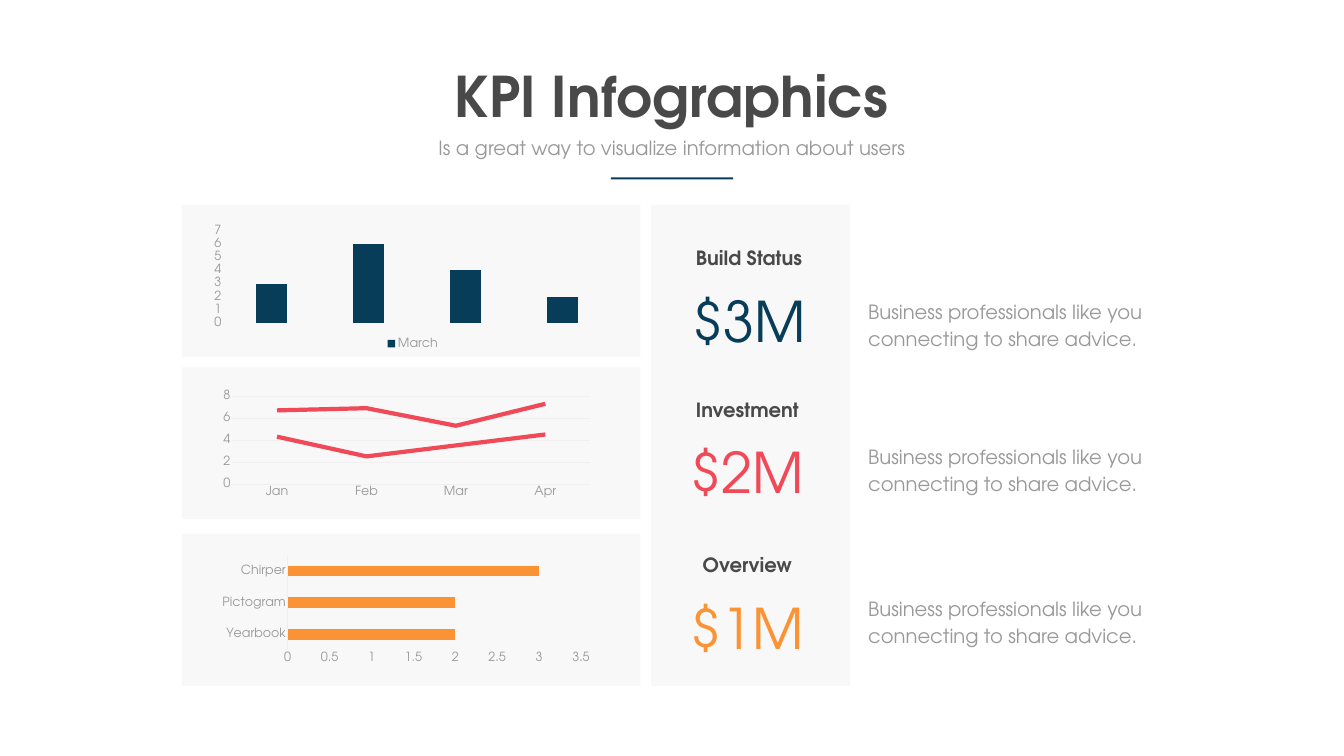
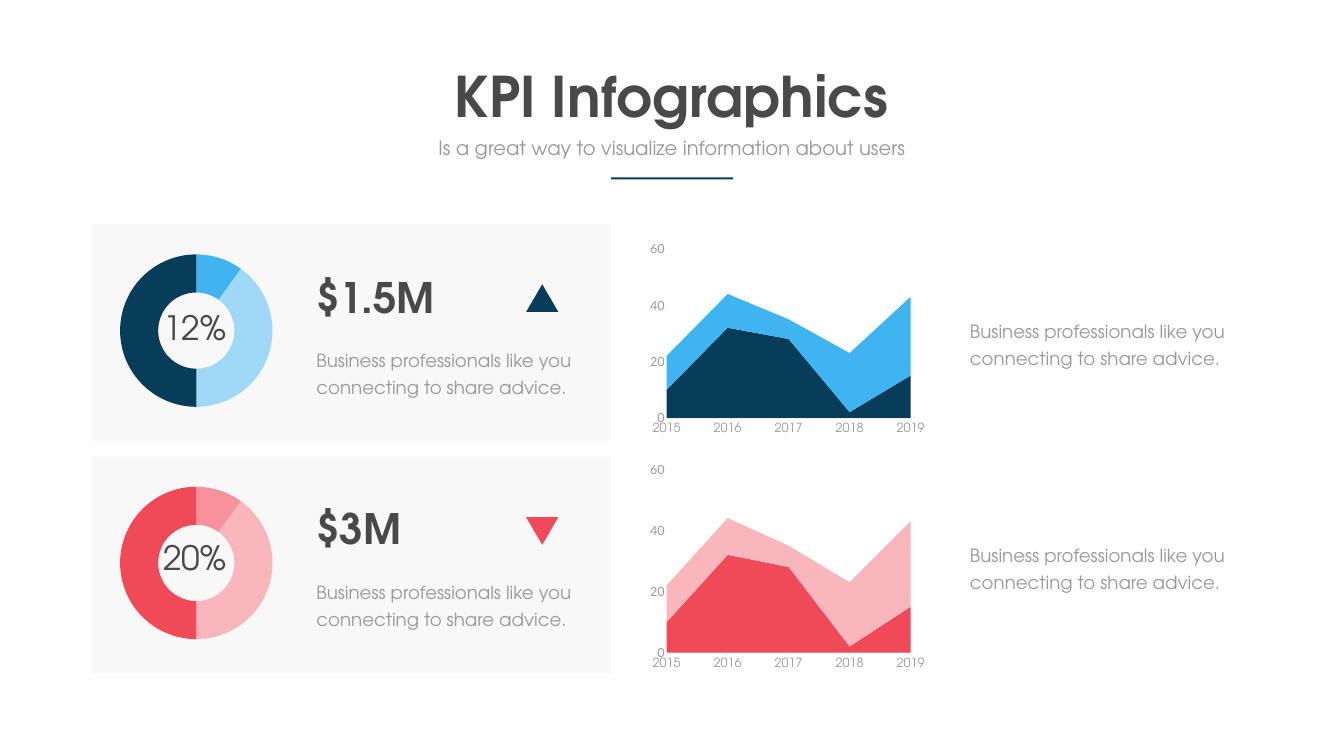
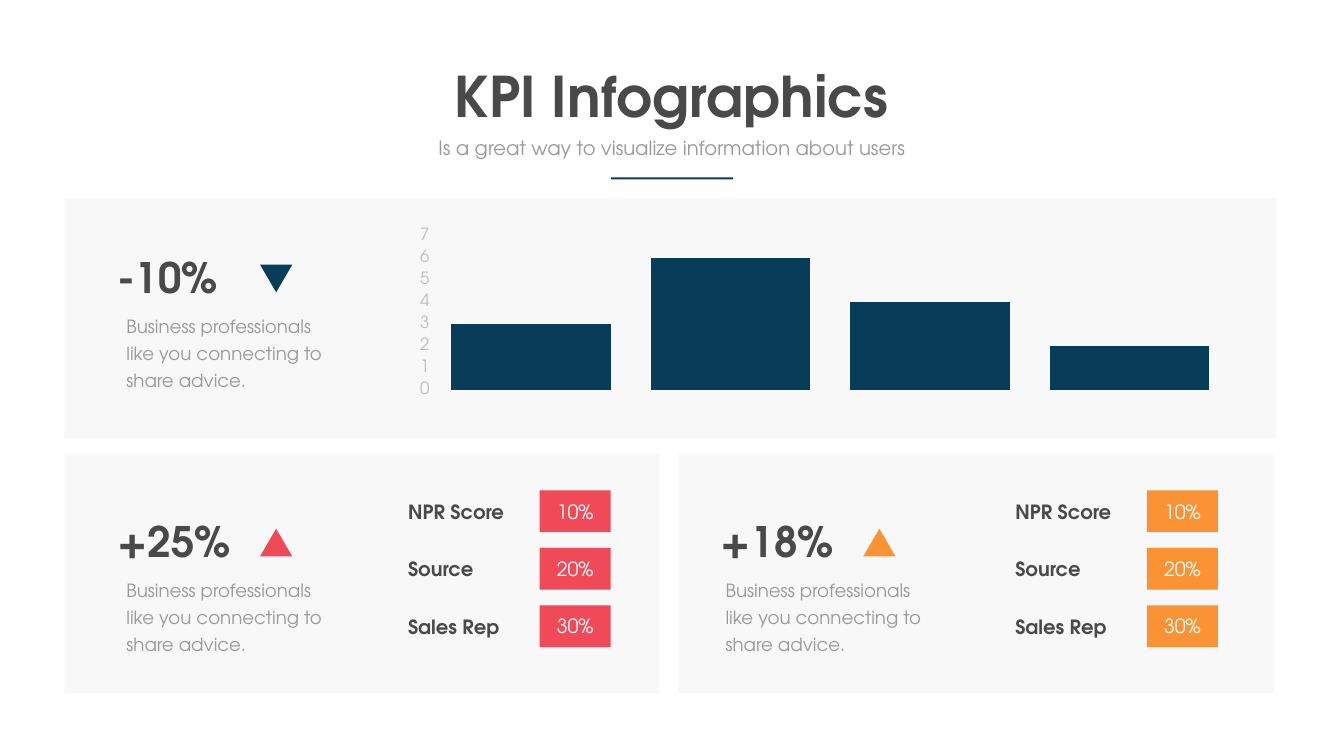
from lxml import etree
from pptx import Presentation
from pptx.chart.data import CategoryChartData as Data
from pptx.dml.color import RGBColor as RGB
from pptx.enum.chart import XL_CHART_TYPE as Kind
from pptx.enum.chart import XL_LEGEND_POSITION as Legend
from pptx.enum.chart import XL_TICK_MARK as Tick
from pptx.enum.shapes import MSO_AUTO_SHAPE_TYPE as Form
from pptx.enum.text import MSO_AUTO_SIZE as Size
from pptx.enum.text import PP_ALIGN as Align
from pptx.oxml import parse_xml
from pptx.oxml.ns import nsdecls, qn
from pptx.util import Inches, Pt

FONT = "TeX Gyre Adventor"
HUES = {
    "navy": "073D59", "red": "F04958", "orange": "FB9234",
    "blue": "3FB4F0", "sky": "9FD9F7", "rose": "F6929B", "pink": "F9B6BC",
    "dark": "494949", "gray": "999999", "pale": "BDBDBD",
    "panel": "F2F2F2", "grid": "F0F0F0", "white": "FFFFFF",
}
TITLE = "KPI Infographics"
SUB = "Is a great way to visualize information about users"
BLURB = "Business professionals like you connecting to share advice."

# Slide 1: label, value, hue, label left, value box, label top, blurb top
STATS = [
    ("Build Status", "$3M", "navy", 13.2, (13.62, 2.48), 4.83, 5.83),
    ("Investment", "$2M", "red", 13.17, (13.54, 2.57), 7.84, 8.71),
    ("Overview", "$1M", "orange", 13.17, (13.59, 2.48), 10.92, 11.72),
]
MONTHS = ["Jan", "Feb", "Mar", "Apr"]
SITES = ["Yearbook", "Pictogram", "Chirper"]
COUNTS = ["1", "2", "3", "4"]
SCORES = [3, 6, 4, 2]

# Slide 2: share, value, tops of share, value, arrow and side blurb,
# turn, ring hues, area hues, area box, area plot
YEARS = ["2015", "2016", "2017", "2018", "2019"]
AREAS = [[10, 32, 28, 2, 15], [12, 12, 7, 21, 28]]
RINGS = [10, 40, 50]
ROWS = [
    ("12%", "$1.5M", (6.04, 5.33, 5.64, 6.21), 0,
     ("blue", "sky", "navy"), ("navy", "blue"),
     (12.8, 4.7, 5.67, 4.01), (13.23, 4.94, 4.84, 3.35)),
    ("20%", "$3M", (10.6, 9.93, 10.26, 10.64), 180,
     ("rose", "pink", "red"), ("red", "pink"),
     (12.8, 9.08, 5.67, 4.28), (13.23, 9.31, 4.84, 3.64)),
]

# Slide 3: change, hue, turn, left, blurb left, top
TRENDS = [
    ("-10%", "navy", 180, 2.23, 2.41, 4.94),
    ("+25%", "red", 0, 2.23, 2.41, 10.18),
    ("+18%", "orange", 0, 14.2, 14.3, 10.18),
]
RATES = [("NPR Score", "10%"), ("Source", "20%"), ("Sales Rep", "30%")]
LISTS = [("red", 8), ("orange", 20.05)]


def rgb(hue):
    return RGB.from_string(HUES[hue])


def place(box):
    return [Inches(n) for n in box]


def paint(part, hue):
    part.fill.solid()
    part.fill.fore_color.rgb = rgb(hue)


def shape(on, box, hue, form=Form.RECTANGLE, turn=0):
    item = on.shapes.add_shape(form, *place(box))
    item.shadow.inherit = False
    item.line.fill.background()
    item.rotation = turn
    paint(item, hue)
    return item


def panel(on, *box):
    """Half-transparent card behind a group of figures."""
    item = shape(on, box, "panel")
    tint = item.fill._xPr.find(".//" + qn("a:srgbClr"))
    etree.SubElement(tint, qn("a:alpha")).set("val", "50000")


def arrow(on, left, top, hue, turn):
    shape(on, (left, top, 0.64, 0.55), hue, Form.ISOSCELES_TRIANGLE, turn)


def style(font, size, hue, name=FONT):
    font.size, font.name, font.color.rgb = Pt(size), name, rgb(hue)


def text(on, words, box, size, hue="dark", bold=False, mid=False,
         wrap=True, lead=None):
    frame = on.shapes.add_textbox(*place(box)).text_frame
    frame.word_wrap = wrap
    frame.auto_size = Size.SHAPE_TO_FIT_TEXT
    para = frame.paragraphs[0]
    para.alignment = Align.CENTER if mid else Align.LEFT
    if lead:
        para.line_spacing = Pt(lead)
    run = para.add_run()
    run.text = words
    style(run.font, size, hue)
    run.font.bold = bold


def blurb(on, box, size=26):
    text(on, BLURB, box, size, "gray", lead=38.6)


def chart(on, kind, box, cats, rows, size=18, name=FONT):
    """Add a chart of (name, values) rows, with no title or legend."""
    data = Data()
    data.categories = cats
    for label, vals in rows:
        data.add_series(label, vals)
    item = on.shapes.add_chart(kind, *place(box), data).chart
    item.has_title = item.has_legend = False
    style(item.font, size, "gray", name)
    return item


def set_plot(item, box, plot):
    """Fix the inner plot area, given in slide inches."""
    parts = {
        "x": (plot[0] - box[0]) / box[2], "y": (plot[1] - box[1]) / box[3],
        "w": plot[2] / box[2], "h": plot[3] / box[3],
    }
    modes = "".join(f'<c:{k}Mode val="edge"/>' for k in "xy")
    sizes = "".join(f'<c:{k} val="{v:.4f}"/>' for k, v in parts.items())
    area = item._chartSpace.chart.plotArea
    for old in area.findall(qn("c:layout")):
        area.remove(old)
    area.insert(0, parse_xml(
        f'<c:layout {nsdecls("c")}><c:manualLayout>'
        f'<c:layoutTarget val="inner"/>{modes}{sizes}'
        f'</c:manualLayout></c:layout>'))


def graph(on, kind, box, plot, cats, rows, hues, top, step, size=18,
          tone="gray", face=FONT, tick=Tick.NONE, show=True, grid=False):
    """Chart with axes; hues go to the series in turn."""
    item = chart(on, kind, box, cats, rows, size)
    set_plot(item, box, plot)
    item.plots[0].vary_by_categories = False
    val, cat = item.value_axis, item.category_axis
    val.minimum_scale, val.maximum_scale, val.major_unit = 0, top, step
    val.major_tick_mark = val.minor_tick_mark = Tick.NONE
    val.format.line.fill.background()
    val.has_major_gridlines = grid
    style(val.tick_labels.font, size, tone, face)
    cat.has_major_gridlines = False
    cat.visible = show
    cat.major_tick_mark, cat.minor_tick_mark = tick, Tick.NONE
    style(cat.tick_labels.font, size, "gray")
    lines = [cat.format.line]
    if grid:
        lines.append(val.major_gridlines.format.line)
    for line in lines:
        line.color.rgb, line.width = rgb("grid"), Pt(0.75)
    for row, hue in zip(item.plots[0].series, hues):
        if kind == Kind.LINE_STACKED:
            row.smooth = False
            row.format.line.color.rgb = rgb(hue)
            row.format.line.width = Pt(6)
        else:
            paint(row.format, hue)
    return item


def bars(item, gap, lap):
    item.plots[0].gap_width, item.plots[0].overlap = gap, lap


def ring(on, top, hues):
    item = chart(on, Kind.DOUGHNUT, (1.42, top, 4.95, 3.3), COUNTS[:3],
                 [("Series 1", RINGS)], 10, "Calibri")
    item._chartSpace.find(".//" + qn("c:holeSize")).set("val", "75")
    for i, hue in enumerate(hues):
        paint(item.plots[0].series[0].points[i].format, hue)


def start(deck):
    """Blank slide with the shared heading."""
    page = deck.slides.add_slide(deck.slide_layouts[6])
    text(page, TITLE, (8.87, 1.17, 8.91, 1.45), 80, bold=True, mid=True,
         wrap=False)
    text(page, SUB, (8.55, 2.65, 9.56, 0.57), 28, "gray", mid=True)
    shape(page, (12.12, 3.52, 2.43, 0.04), "navy")
    return page


def build_stats(deck):
    page = start(deck)
    for top in (4.07, 7.29, 10.6):
        panel(page, 3.61, top, 9.1, 3.01)
    panel(page, 12.92, 4.06, 3.95, 9.55)
    for label, value, hue, left, (x, wide), top, side in STATS:
        text(page, label, (left, top, 3.32, 0.57), 28, bold=True, mid=True)
        text(page, value, (x, top + 0.8, wide, 1.45), 80, hue, mid=True,
             wrap=False)
        blurb(page, (17.13, side, 6.54, 1.17), 28)

    item = graph(page, Kind.COLUMN_STACKED, (4.09, 4.4, 8.2, 2.59),
                 (4.43, 4.58, 7.69, 1.83), COUNTS, [("March", SCORES)],
                 ["navy"], 7, 1, show=False)
    bars(item, 207, 89)
    item.has_legend = True
    item.legend.position = Legend.BOTTOM
    item.legend.include_in_layout = False
    style(item.legend.font, 18, "gray")

    graph(page, Kind.LINE_STACKED, (4.29, 7.69, 7.58, 2.25),
          (4.61, 7.86, 7.1, 1.74), MONTHS,
          [("Series 1", [4.3, 2.5, 3.5, 4.5]),
           ("Series 2", [2.4, 4.4, 1.8, 2.8])],
          ["red", "red"], 8, 2, grid=True)

    item = graph(page, Kind.BAR_STACKED, (4.29, 10.98, 7.58, 2.25),
                 (5.71, 11.02, 5.82, 1.88), SITES,
                 [("Series 1", [2, 2, 3])], ["orange"], 3.5, 0.5)
    bars(item, 199, 100)


def build_rings(deck):
    page = start(deck)
    for i, row in enumerate(ROWS):
        share, value, tops, turn, slices, fills, box, plot = row
        top = 4.45 + 4.61 * i
        panel(page, 1.83, top, 10.29, 4.3)
        ring(page, top + 0.46, slices)
        text(page, share, (3.13, tops[0], 1.47, 0.91), 48, mid=True,
             wrap=False)
        text(page, value, (6.18, tops[1], 3.83, 1.11), 60, bold=True)
        arrow(page, 10.44, tops[2], fills[0], turn)
        blurb(page, (6.18, top + 2.32, 5.53, 1.14))
        blurb(page, (19.15, tops[3], 5.3, 1.14))
        rows = [(f"Series {n}", vals) for n, vals in enumerate(AREAS, 1)]
        graph(page, Kind.AREA_STACKED, box, plot, YEARS, rows, fills,
              60, 20, face="Lato", tick=Tick.OUTSIDE)


def build_trends(deck):
    page = start(deck)
    panel(page, 1.28, 3.93, 24.05, 4.76)
    for left in (1.28, 13.47):
        panel(page, left, 9, 11.81, 4.76)
    item = graph(page, Kind.COLUMN_STACKED, (8, 4.45, 16.73, 3.51),
                 (8.56, 4.68, 15.83, 3.06), COUNTS, [("Series 1", SCORES)],
                 ["navy"], 7, 1, size=24, tone="pale", show=False)
    bars(item, 25, 100)
    for hue, left in LISTS:
        for i, (label, rate) in enumerate(RATES):
            top = 9.73 + 1.14 * i
            text(page, label, (left, top + 0.14, 3.06, 0.57), 28, bold=True)
            shape(page, (left + 2.71, top, 1.41, 0.83), hue)
            text(page, rate, (left + 2.83, top + 0.13, 1.17, 0.57), 28,
                 "white", mid=True)
    for change, hue, turn, left, side, top in TRENDS:
        pair = page.shapes.add_group_shape()
        text(pair, change, (left, top, 3.83, 1.11), 60, bold=True)
        arrow(pair, left + 2.93, top + 0.31, hue, turn)
        blurb(page, (side, top + 1.17, 4.17, 1.69))


def main():
    deck = Presentation()
    deck.slide_width, deck.slide_height = Inches(26.67), Inches(15)
    build_stats(deck)
    build_rings(deck)
    build_trends(deck)
    deck.save("out.pptx")


if __name__ == "__main__":
    main()
